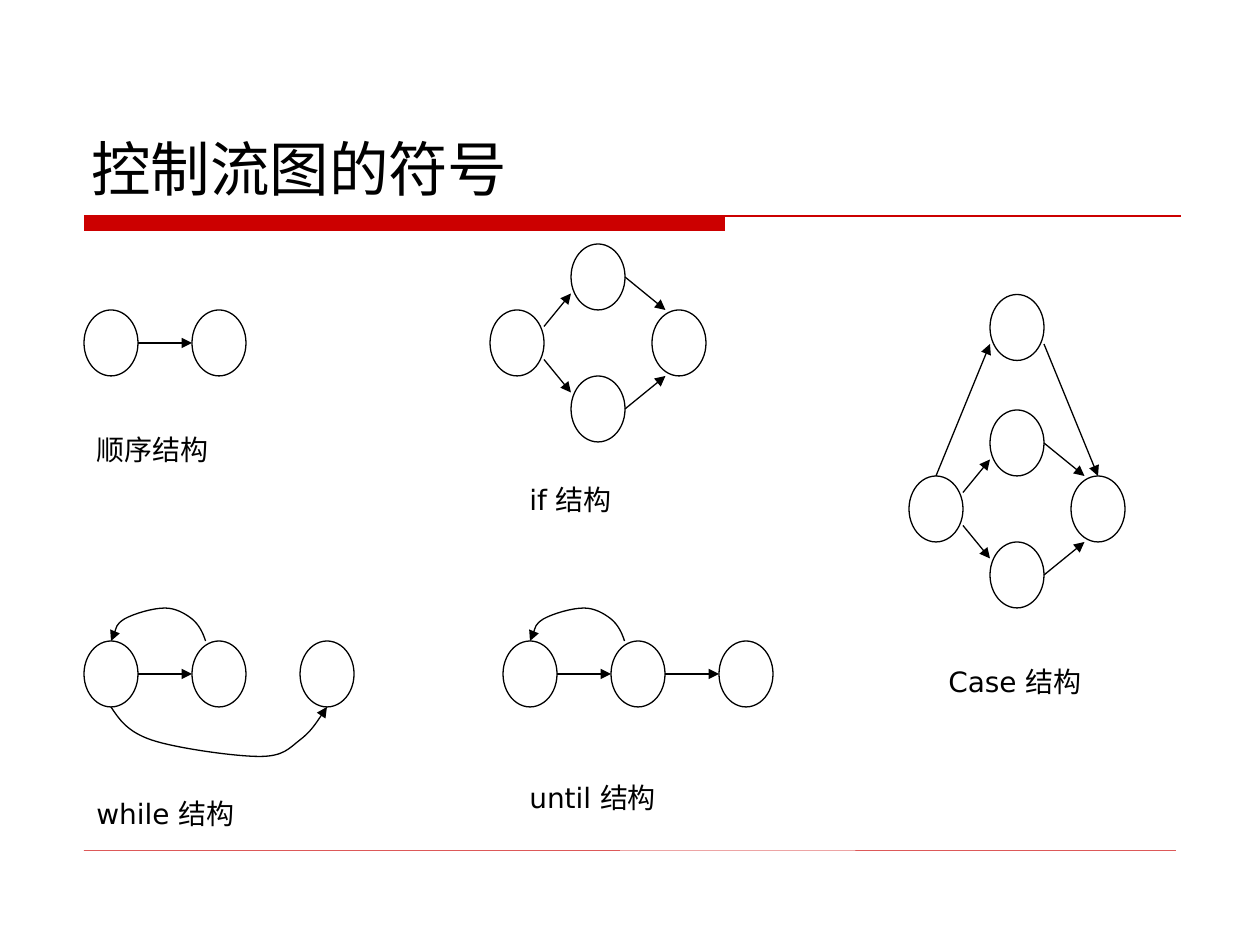
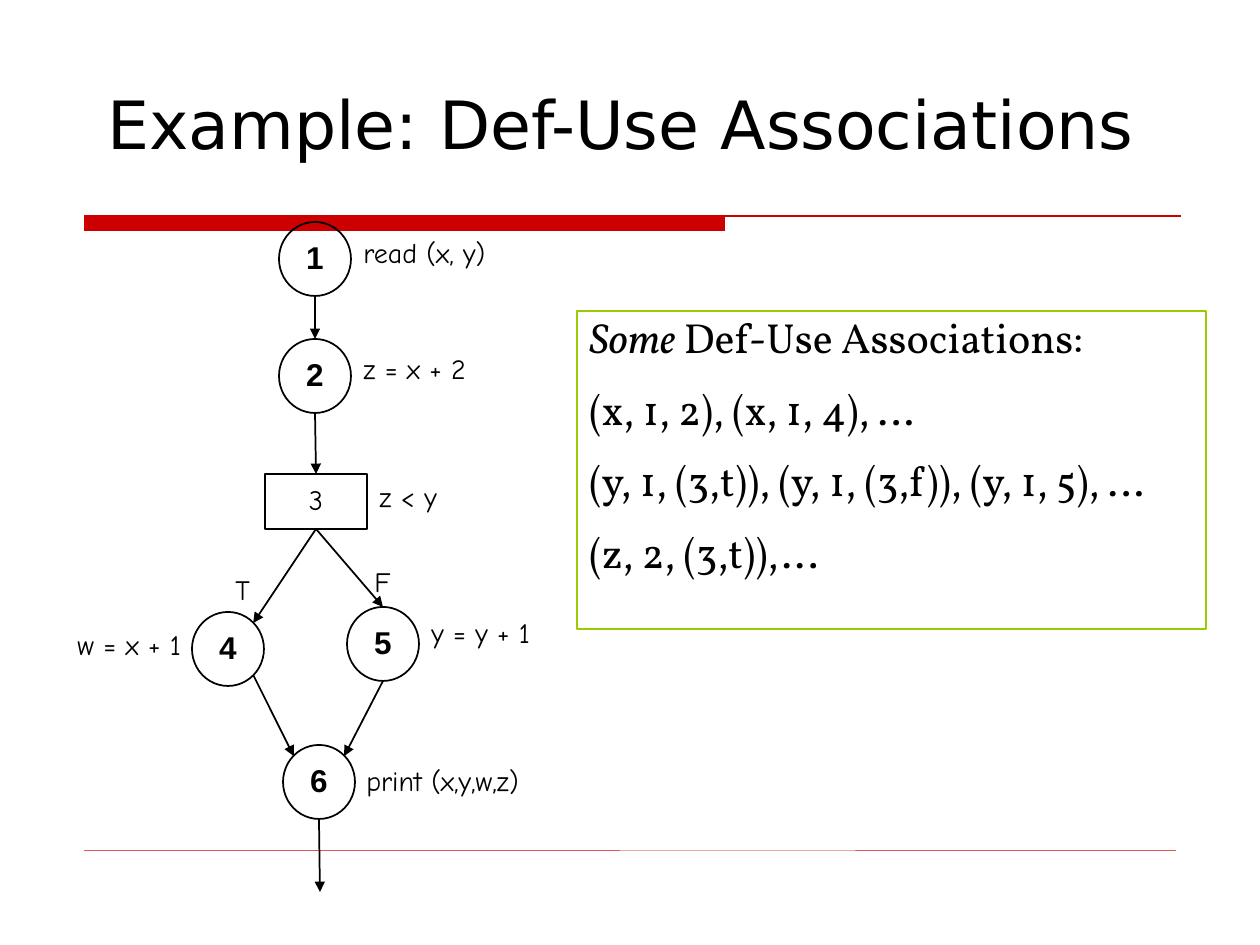
"""Build two slides on control flow graph symbols and def-use associations."""
from dataclasses import dataclass

from lxml.etree import SubElement
from pptx import Presentation
from pptx.dml.color import RGBColor
from pptx.enum.shapes import MSO_CONNECTOR as Connector, MSO_SHAPE as Preset
from pptx.enum.text import MSO_ANCHOR as Anchor, PP_ALIGN as Align
from pptx.oxml.ns import qn
from pptx.util import Emu, Pt


@dataclass(frozen=True)
class Theme:
    """Colours, fonts, type sizes and line widths."""
    red: str = "CC0000"
    green: str = "99CC00"
    black: str = "000000"
    white: str = "FFFFFF"
    heading_font: str = "DejaVu Sans"
    number_font: str = "Arial"
    code_font: str = "Comic Neue"
    list_font: str = "Vollkorn"
    label_size: int = 16
    number_size: int = 18
    list_size: int = 24
    thin: float = 0.75
    medium: float = 1
    hairline: float = 0.25


THEME = Theme()
EMU_PER_PX = 914400 / 126
SLIDE_SIZE = (1260, 945)
BAND_OUTLINE = [(84, 216), (725, 216), (725, 231), (84, 231)]
BAND_LINE_END = (1181, 216)
FOOTER_LINE = ((84, 850.4), (1176, 850.6))

UNIT_X, UNIT_Y = 27, 33
ROW_ARROW = ((2, 1), (4, 1))
DIAMOND_NODES = [(0, 0), (3, -2), (3, 2), (6, 0)]
DIAMOND_ARROWS = [((2, 0.5), (3, -0.5)), ((5, -1), (6.5, 0)),
                  ((2, 1.5), (3, 2.5)), ((5, 3), (6.5, 2))]
LOOP_CURVE = [(4.5, 0), (4.4, -0.27), (4.25, -0.5), (4, -0.67),
              (3.75, -0.83), (3.4, -1), (3, -1),
              (2.55, -1), (1.85, -0.83), (1.5, -0.67),
              (1.17, -0.5), (1.1, -0.13), (1, 0)]
EXIT_CURVE = [(1, 2), (1.3, 2.37), (1.6, 2.75), (2.5, 3),
              (3.4, 3.25), (5.6, 3.5), (6.5, 3.5),
              (7.4, 3.5), (7.6, 3.25), (8, 3),
              (8.4, 2.75), (8.7, 2.37), (9, 2)]
STRUCTURES = [
    dict(label="顺序结构", label_box=(84, 426, 189, 47), origin=(84, 310),
         nodes=[(0, 0), (4, 0)], arrows=[ROW_ARROW], curves=[]),
    dict(label="if 结构", label_box=(517, 476, 149, 47), origin=(490, 310),
         nodes=DIAMOND_NODES, arrows=DIAMOND_ARROWS, curves=[]),
    dict(label="Case 结构", label_box=(936, 658, 229, 47), origin=(909, 476),
         nodes=DIAMOND_NODES + [(3, -5.5)],
         arrows=DIAMOND_ARROWS + [((1, 0), (3, -4)), ((5, -4), (7, 0))],
         curves=[]),
    dict(label="while 结构", label_box=(84, 790, 229, 47), origin=(84, 641),
         nodes=[(0, 0), (4, 0), (8, 0)], arrows=[ROW_ARROW],
         curves=[LOOP_CURVE, EXIT_CURVE]),
    dict(label="until 结构", label_box=(517, 774, 229, 47), origin=(503, 641),
         nodes=[(0, 0), (4, 0), (8, 0)],
         arrows=[ROW_ARROW, ((6, 1), (8, 1))], curves=[LOOP_CURVE]),
]

CIRCLE = (72, 74)
FLOW_CIRCLES = {"1": (279, 222), "2": (279, 339), "4": (192, 612),
                "5": (347, 607), "6": (283, 745)}
DECISION = ("3", (265, 474, 102, 55))
ANCHORS = {"top": (0.5, 0), "bottom": (0.5, 1), "top left": (0.15, 0.15),
           "top right": (0.85, 0.15), "bottom right": (0.85, 0.85)}
RECTANGLE_SITES = {"top": 0, "bottom": 2}
FLOW_ARROWS = [
    ("1", "bottom", "2", "top"), ("2", "bottom", "3", "top"),
    ("3", "bottom", "4", "top right"), ("3", "bottom", "5", "top"),
    ("4", "bottom right", "6", "top left"), ("5", "bottom", "6", "top right"),
]
EXIT_ARROW = ((319, 819), (320, 892))
LABEL_HEIGHT = 43
STATEMENTS = [
    ("read (x, y)", 351, 233, 166), ("z = x + 2", 351, 349, 166),
    ("z < y", 367, 477, 139), ("T", 223, 570, 67), ("F", 362, 562, 67),
    ("w = x + 1", 65, 625, 139), ("y = y + 1", 419, 613, 139),
    ("print (x,y,w,z)", 354, 761, 213),
]
ASSOCIATION_BOX = (577, 311, 629, 318)
ASSOCIATIONS = [
    ("Some", " Def-Use Associations:"),
    ("(x, 1, 2), (x, 1, 4), …",),
    ("(y, 1, (3,t)), (y, 1, (3,f)), (y, 1, 5), …",),
    ("(z, 2, (3,t)),...",),
]


def px(*lengths):
    """Turn pixel lengths into EMU."""
    return [Emu(round(length * EMU_PER_PX)) for length in lengths]


def color(value):
    """Return the colour for a hex value."""
    return RGBColor.from_string(value)


def style(shape, fill, line_color, width, arrow=False):
    """Set a flat fill and line and, if wanted, an arrowhead at the end."""
    shape.shadow.inherit = False
    if fill:
        shape.fill.solid()
        shape.fill.fore_color.rgb = color(fill)
    else:
        shape.fill.background()
    outline(shape, line_color, width, arrow)


def outline(shape, line_color, width, arrow=False):
    """Set the line of a shape or connector."""
    shape.line.color.rgb = color(line_color)
    shape.line.width = Pt(width)
    if arrow:
        line = shape.element.spPr.find(qn("a:ln"))
        SubElement(line, qn("a:tailEnd"), type="triangle")


def add_line(slide, ends, width, line_color=THEME.black, arrow=False):
    """Add a straight connector without a shadow."""
    (x1, y1), (x2, y2) = ends
    connector = slide.shapes.add_connector(Connector.STRAIGHT, *px(x1, y1, x2, y2))
    outline(connector, line_color, width, arrow)
    SubElement(connector.element.spPr, qn("a:effectLst"))
    return connector


def add_preset(slide, preset, box, width=THEME.medium, fill=None, line_color=THEME.black):
    """Add a flat preset shape."""
    shape = slide.shapes.add_shape(preset, *px(*box))
    style(shape, fill, line_color, width)
    return shape


def add_band(slide):
    """Add the title band: an unlined bar and an unfilled rule in one shape."""
    start, *corners = [px(*point) for point in BAND_OUTLINE]
    builder = slide.shapes.build_freeform(*start)
    builder.add_line_segments(corners, close=True)
    builder.move_to(*start)
    builder.add_line_segments([px(*BAND_LINE_END)], close=False)
    band = builder.convert_to_shape()
    style(band, THEME.red, THEME.red, THEME.thin)
    bar = next(band.element.iter(qn("a:path")))
    rule = SubElement(bar.getparent(), qn("a:path"), w=bar.get("w"), h=bar.get("h"), fill="none")
    rule.extend(list(bar)[-2:])
    bar.set("stroke", "0")


def add_curve(slide, controls):
    """Add an open chain of cubic curves that ends in an arrowhead."""
    start, *others = [px(*point) for point in controls]
    builder = slide.shapes.build_freeform(*start)
    builder.add_line_segments(others, close=False)
    curve = builder.convert_to_shape()
    style(curve, None, THEME.black, THEME.thin, arrow=True)
    outline_path = next(curve.element.iter(qn("a:path")))
    segments = outline_path.findall(qn("a:lnTo"))
    for first in range(0, len(segments), 3):
        cubic = SubElement(outline_path, qn("a:cubicBezTo"))
        for segment in segments[first:first + 3]:
            cubic.append(segment[0])
            outline_path.remove(segment)


def write(shape, paragraphs, font, size, bold=False, align=Align.LEFT,
          anchor=Anchor.TOP, spacing=None, before=0, wrap=True):
    """Write paragraphs, each a sequence of run texts, into a shape."""
    frame = shape.text_frame
    frame.word_wrap = wrap
    frame.vertical_anchor = anchor
    for index, texts in enumerate(paragraphs):
        paragraph = frame.add_paragraph() if index else frame.paragraphs[0]
        paragraph.alignment = align
        paragraph.space_before = Pt(before)
        if spacing:
            paragraph.line_spacing = spacing
        for text in texts:
            run = paragraph.add_run()
            run.text = text
            run.font.name, run.font.size, run.font.bold = font, Pt(size), bold
            run.font.color.rgb = color(THEME.black)


def add_label(slide, text, box, font, size=THEME.label_size, **options):
    """Add a text box with one line of text."""
    write(slide.shapes.add_textbox(*px(*box)), [(text,)], font, size, **options)


def add_slide(presentation, title, title_box, title_size):
    """Add a slide with the shared band, footer line and title."""
    slide = presentation.slides.add_slide(presentation.slide_layouts[6])
    add_band(slide)
    add_line(slide, FOOTER_LINE, THEME.hairline, THEME.red)
    add_label(slide, title, title_box, THEME.heading_font, title_size, anchor=Anchor.BOTTOM)
    return slide


def add_structure(slide, structure):
    """Draw one control structure on its unit grid."""
    left, top = structure["origin"]

    def place(point):
        return left + point[0] * UNIT_X, top + point[1] * UNIT_Y

    for node in structure["nodes"]:
        add_preset(slide, Preset.OVAL, (*place(node), 2 * UNIT_X, 2 * UNIT_Y),
                   THEME.thin, THEME.white)
    for ends in structure["arrows"]:
        add_line(slide, map(place, ends), THEME.thin, arrow=True)
    for controls in structure["curves"]:
        add_curve(slide, map(place, controls))
    add_label(slide, structure["label"], structure["label_box"], THEME.heading_font, before=10)


def add_flow_graph(slide):
    """Draw the numbered nodes, their arrows and their statements."""
    decision, decision_box = DECISION
    boxes = {name: (*corner, *CIRCLE) for name, corner in FLOW_CIRCLES.items()}
    boxes[decision] = decision_box
    nodes = {}
    for name, box in boxes.items():
        is_decision = name == decision
        nodes[name] = add_preset(slide, Preset.RECTANGLE if is_decision else Preset.OVAL, box)
        write(nodes[name], [(name,)],
              THEME.code_font if is_decision else THEME.number_font,
              THEME.label_size if is_decision else THEME.number_size,
              bold=not is_decision, align=Align.CENTER, anchor=Anchor.MIDDLE,
              spacing=0.9, wrap=False)

    def anchor_point(name, side):
        left, top, width, height = boxes[name]
        across, down = ANCHORS[side]
        return left + across * width, top + down * height

    for source, source_side, target, target_side in FLOW_ARROWS:
        ends = anchor_point(source, source_side), anchor_point(target, target_side)
        arrow = add_line(slide, ends, THEME.medium, arrow=True)
        if source == decision:
            arrow.begin_connect(nodes[source], RECTANGLE_SITES[source_side])
        if target == decision:
            arrow.end_connect(nodes[target], RECTANGLE_SITES[target_side])
    add_line(slide, EXIT_ARROW, THEME.medium, arrow=True)
    for text, left, top, width in STATEMENTS:
        add_label(slide, text, (left, top, width, LABEL_HEIGHT), THEME.code_font,
                  spacing=0.9, before=10)


def main():
    """Build and save the presentation."""
    presentation = Presentation()
    presentation.slide_width, presentation.slide_height = px(*SLIDE_SIZE)

    symbols = add_slide(presentation, "控制流图的符号", (79, 42, 1103, 168), 34)
    for structure in STRUCTURES:
        add_structure(symbols, structure)

    example = add_slide(presentation, "Example: Def-Use Associations", (95, 93, 1121, 76), 38)
    add_flow_graph(example)
    associations = add_preset(example, Preset.RECTANGLE, ASSOCIATION_BOX, line_color=THEME.green)
    write(associations, ASSOCIATIONS, THEME.list_font, THEME.list_size, spacing=0.9, before=15)
    associations.text_frame.paragraphs[0].runs[0].font.italic = True

    presentation.save("out.pptx")


if __name__ == "__main__":
    main()
